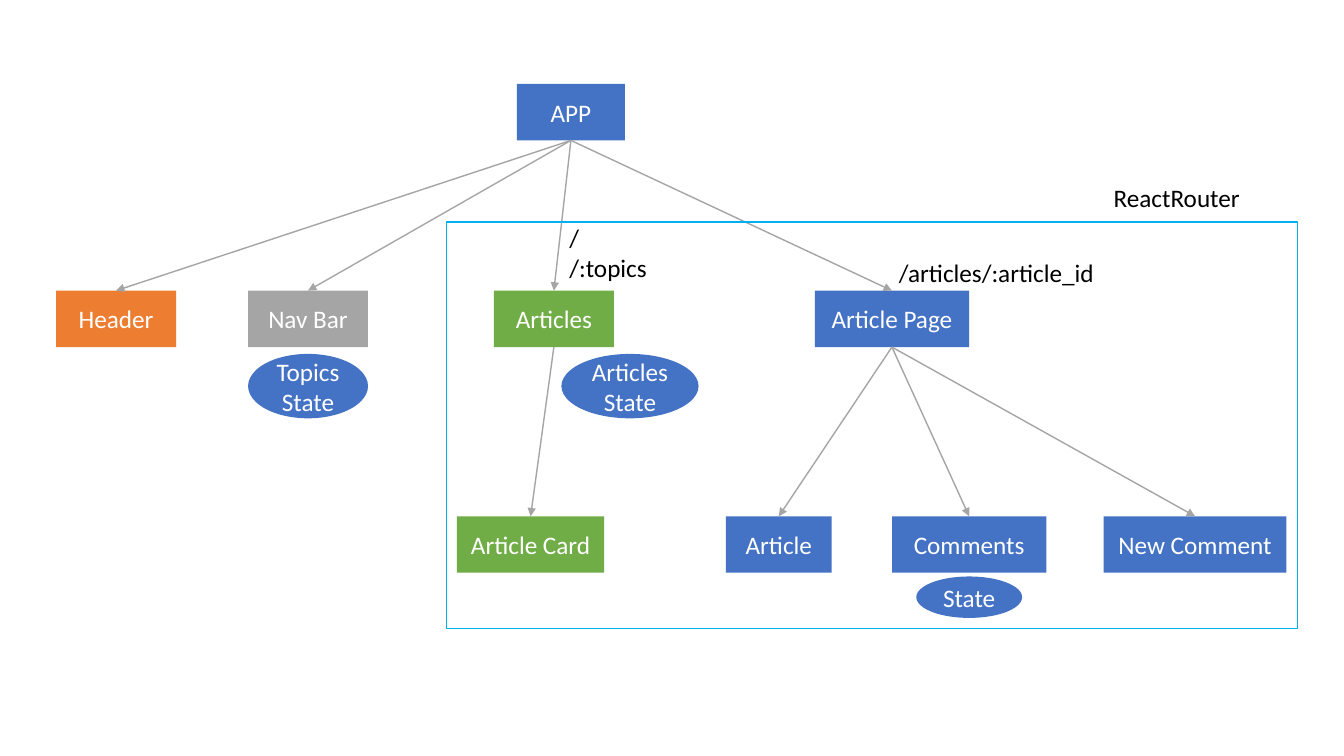
from lxml.etree import SubElement
from pptx import Presentation
from pptx.dml.color import RGBColor
from pptx.enum.shapes import MSO_CONNECTOR, MSO_SHAPE
from pptx.enum.text import MSO_ANCHOR, PP_ALIGN
from pptx.oxml.ns import qn
from pptx.util import Pt

BLUE = RGBColor(0x44, 0x72, 0xC4)
ORANGE = RGBColor(0xED, 0x7D, 0x31)
GRAY = RGBColor(0xA5, 0xA5, 0xA5)
GREEN = RGBColor(0x70, 0xAD, 0x47)
SKY = RGBColor(0x00, 0xB0, 0xF0)
WHITE = RGBColor(0xFF, 0xFF, 0xFF)
BLACK = RGBColor(0x00, 0x00, 0x00)

COMPONENT_HEIGHT = 40.3
# Each level: top, then components as (name, left, width, colour)
LEVELS = [
    (60, [("APP", 369.2, 77.2, BLUE)]),
    (207.6, [
        ("Header", 40.1, 85.7, ORANGE),
        ("Nav Bar", 177.2, 85.7, GRAY),
        ("Articles", 352.8, 85.7, GREEN),
        ("Article Page", 582, 110.2, BLUE),
    ]),
    (368.8, [
        ("Article Card", 326.4, 105.2, GREEN),
        ("Article", 518.5, 75.6, BLUE),
        ("Comments", 637.2, 110.2, BLUE),
        ("New Comment", 788.4, 130.5, BLUE),
    ]),
]
CHILDREN = {
    "APP": ["Header", "Nav Bar", "Articles", "Article Page"],
    "Articles": ["Article Card"],
    "Article Page": ["Article", "Comments", "New Comment"],
}
# State ovals: text, left, top, width, height
STATES = [
    ("Topics State", 177.2, 252.8, 85.7, 46),
    ("Articles State", 401, 252.8, 98, 46),
    ("State", 654.5, 411.8, 75.6, 29.6),
]
# Labels: lines, left, top, width, height
LABELS = [
    (["/", "/:topics"], 399.6, 155.4, 70.6, 51),
    (["/articles/:article_id"], 635, 180, 180, 29),
    (["ReactRouter"], 788.4, 126.5, 106, 29),
]
ROUTER_FRAME = (319, 158.5, 607.7, 290.6)
BOTTOM_SITE, TOP_SITE = 2, 0


def write(shape, lines, color, alignment, anchor):
    """Put the lines into the shape, one paragraph each."""
    frame = shape.text_frame
    frame.word_wrap = True
    frame.vertical_anchor = anchor
    frame.text = "\n".join(lines)
    for para in frame.paragraphs:
        para.alignment = alignment
        font_format = {"name": "Calibri", "size": Pt(18)}
        for name, value in font_format.items():
            setattr(para.runs[0].font, name, value)
        para.runs[0].font.color.rgb = color


def add_node(slide, kind, text, bounds, color):
    """Add a filled shape without outline, with centred white text."""
    node = slide.shapes.add_shape(kind, *map(Pt, bounds))
    node.shadow.inherit = False
    node.fill.solid()
    node.fill.fore_color.rgb = color
    node.line.fill.background()
    write(node, [text], WHITE, PP_ALIGN.CENTER, MSO_ANCHOR.MIDDLE)
    return node


def add_arrow(slide, parent, child):
    """Connect the bottom of the parent to the top of the child."""
    arrow = slide.shapes.add_connector(MSO_CONNECTOR.STRAIGHT, 0, 0, 0, 0)
    arrow.begin_connect(parent, BOTTOM_SITE)
    arrow.end_connect(child, TOP_SITE)
    arrow.line.color.rgb = GRAY
    arrow.line.width = Pt(1)
    SubElement(arrow.line._get_or_add_ln(), qn("a:tailEnd"), type="triangle")
    SubElement(arrow._element.spPr, qn("a:effectLst"))


def add_router_frame(slide):
    """Outline the part of the tree that the router handles."""
    frame = slide.shapes.add_shape(MSO_SHAPE.RECTANGLE, *map(Pt, ROUTER_FRAME))
    frame.shadow.inherit = False
    frame.fill.background()
    frame.line.color.rgb = SKY
    frame.line.width = Pt(1)


deck = Presentation()
deck.slide_width, deck.slide_height = Pt(960), Pt(540)
page = deck.slides.add_slide(deck.slide_layouts[6])

components = {}
for top, level in LEVELS:
    for name, left, width, color in level:
        bounds = (left, top, width, COMPONENT_HEIGHT)
        components[name] = add_node(page, MSO_SHAPE.RECTANGLE, name, bounds, color)

for parent, children in CHILDREN.items():
    for child in children:
        add_arrow(page, components[parent], components[child])

for text, *bounds in STATES:
    add_node(page, MSO_SHAPE.OVAL, text, bounds, BLUE)

add_router_frame(page)

for lines, *bounds in LABELS:
    label = page.shapes.add_textbox(*map(Pt, bounds))
    write(label, lines, BLACK, PP_ALIGN.LEFT, MSO_ANCHOR.TOP)

deck.save("out.pptx")
